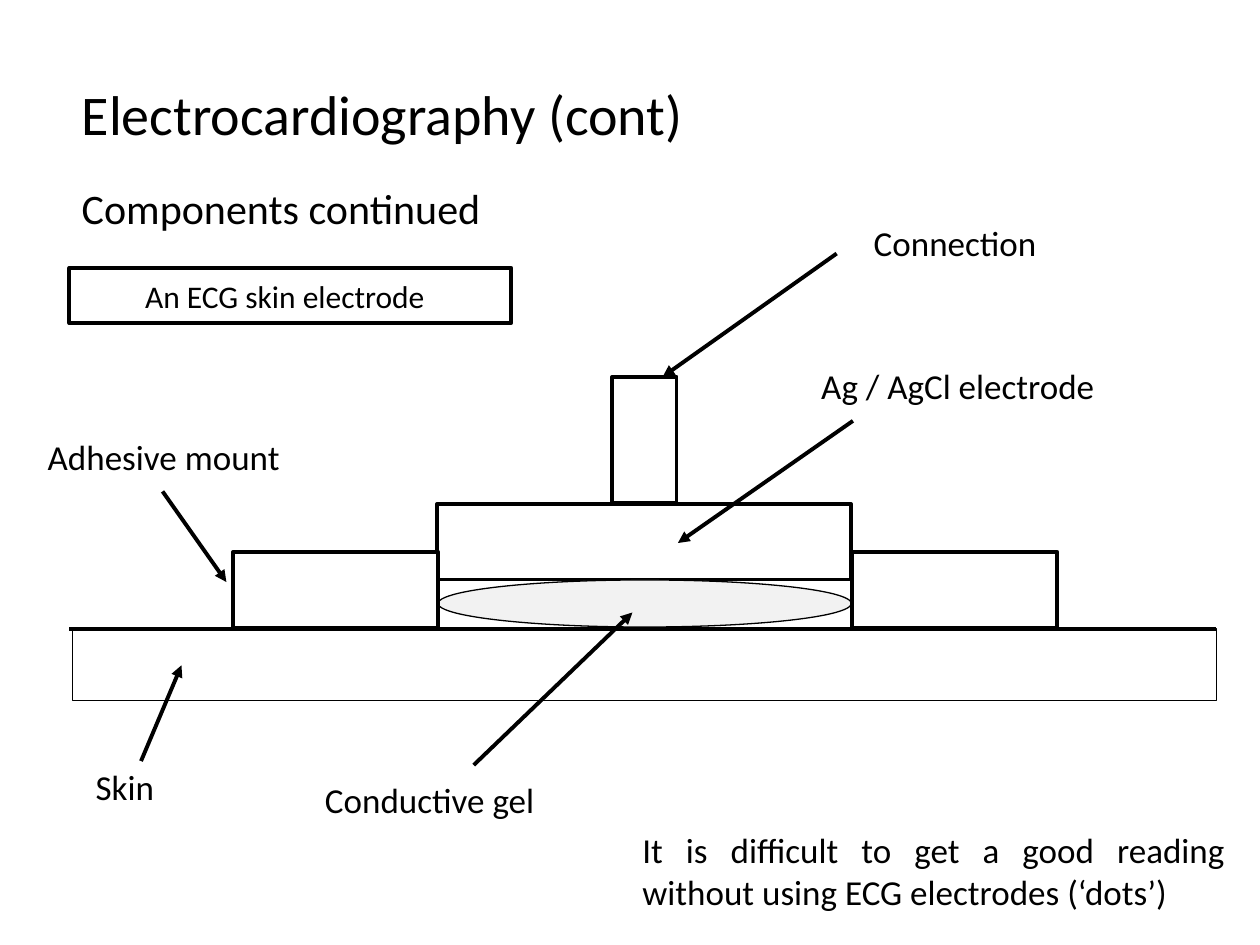
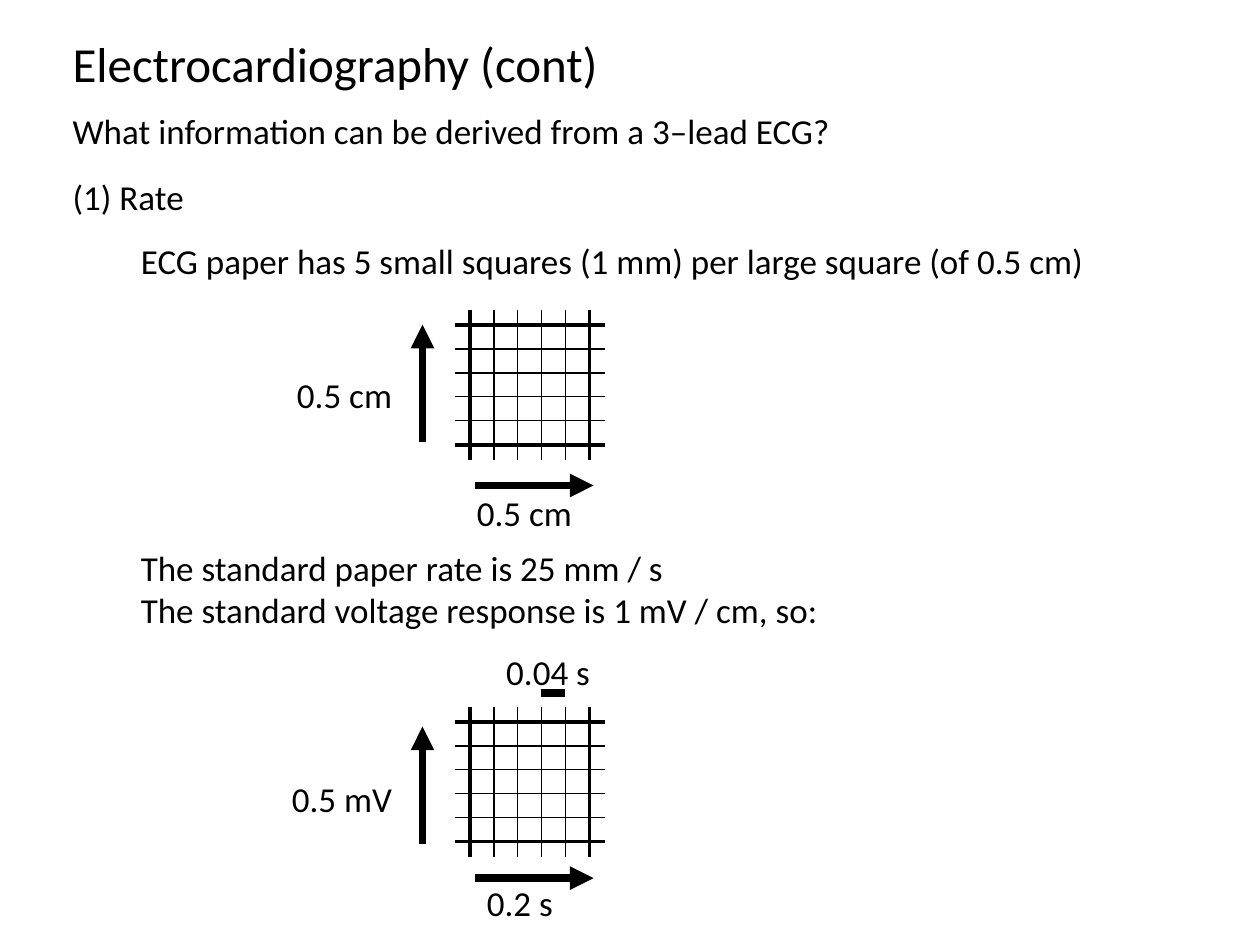
from pptx import Presentation
from pptx.dml.color import RGBColor
from pptx.enum.shapes import MSO_CONNECTOR, MSO_SHAPE
from pptx.enum.text import MSO_ANCHOR, PP_ALIGN
from pptx.oxml.ns import qn
from pptx.util import Pt
from lxml.etree import SubElement

BLACK = RGBColor(0x00, 0x00, 0x00)
WHITE = RGBColor(0xFF, 0xFF, 0xFF)
GEL_GREY = RGBColor(0xF2, 0xF2, 0xF2)
FONT = "Calibri"
TITLE = "Electrocardiography (cont)"
THIN, THICK, HEAVY = 0.75, 2.25, 4.5


def add_text(slide, text, left, top, width, size=20, align=PP_ALIGN.LEFT, lines=1):
    height = lines * size * 1.22 + 7.2
    box = slide.shapes.add_textbox(Pt(left), Pt(top), Pt(width), Pt(height))
    frame = box.text_frame
    frame.word_wrap = True
    frame.text = text
    for paragraph in frame.paragraphs:
        paragraph.alignment = align
        paragraph.font.name = FONT
        paragraph.font.size = Pt(size)
        paragraph.font.color.rgb = BLACK


def add_line(shapes, start, end, weight=THICK, arrow=False):
    points = [Pt(value) for value in (*start, *end)]
    connector = shapes.add_connector(MSO_CONNECTOR.STRAIGHT, *points)
    connector.line.color.rgb = BLACK
    connector.line.width = Pt(weight)
    properties = connector._element.spPr
    if arrow:
        SubElement(properties.find(qn("a:ln")), qn("a:tailEnd"), type="triangle")
    SubElement(properties, qn("a:effectLst"))


presentation = Presentation()
presentation.slide_width = Pt(720)
presentation.slide_height = Pt(540)
blank = presentation.slide_layouts[6]

# Slide 1: skin electrode
slide = presentation.slides.add_slide(blank)
add_text(slide, TITLE, 39.6, 41.8, 389, 32)
add_text(slide, "Components continued", 39.6, 100.8, 329, 24)

# Electrode parts, from back to front
RECTANGLE, OVAL = MSO_SHAPE.RECTANGLE, MSO_SHAPE.OVAL
electrode_parts = [
    (RECTANGLE, 349.9, 215.4, 36.7, 72, WHITE, THICK),      # connection
    (RECTANGLE, 249.8, 288, 236.5, 43.2, WHITE, THICK),     # electrode
    (OVAL, 250.3, 331.4, 236.2, 26.9, GEL_GREY, THIN),      # gel
    (RECTANGLE, 133.2, 315.4, 117.2, 43.2, WHITE, THICK),   # left mount
    (RECTANGLE, 486.9, 315.4, 117.2, 43.2, WHITE, THICK),   # right mount
    (RECTANGLE, 41.4, 359.3, 653.8, 40.9, WHITE, THIN),     # skin
    (RECTANGLE, 39.7, 153.1, 252.5, 31.5, None, THICK),     # caption frame
]
for kind, left, top, width, height, fill, weight in electrode_parts:
    shape = slide.shapes.add_shape(kind, Pt(left), Pt(top), Pt(width), Pt(height))
    shape.shadow.inherit = False
    if fill is None:
        shape.fill.background()
    else:
        shape.fill.solid()
        shape.fill.fore_color.rgb = fill
    shape.line.color.rgb = BLACK
    shape.line.width = Pt(weight)
add_line(slide.shapes, (39.6, 359.3), (695, 359.3))

# Caption, in the last shape of the list
caption = shape.text_frame
caption.text = "An ECG skin electrode"
caption.margin_left = Pt(43.2)
caption.vertical_anchor = MSO_ANCHOR.MIDDLE
paragraph = caption.paragraphs[0]
paragraph.alignment = PP_ALIGN.LEFT
paragraph.font.name = FONT
paragraph.font.size = Pt(18)
paragraph.font.color.rgb = BLACK

# Labels with their arrows
labels = [
    ("Skin", 47.5, 434, 54, (80.6, 434.9), (103.7, 380.2)),
    ("Conductive gel", 178.6, 441.4, 147, (270.7, 437.2), (361.4, 350)),
    ("Adhesive mount", 20.2, 245.5, 158, (92.9, 280.8), (129.4, 332.6)),
    ("Ag / AgCl electrode", 462.2, 204.8, 187, (487.4, 240.5), (387.4, 310.3)),
    ("Connection", 492.2, 123.1, 116, (478.1, 144.9), (378.7, 215.3)),
]
for text, left, top, width, start, end in labels:
    add_text(slide, text, left, top, width)
    add_line(slide.shapes, start, end, arrow=True)

add_text(slide, "It is difficult to get a good reading without using ECG electrodes (‘dots’)",
         360, 469.7, 347, align=PP_ALIGN.JUSTIFY, lines=2)

# Slide 2: rate from ECG paper
slide = presentation.slides.add_slide(blank)
add_text(slide, TITLE, 34.4, 15.8, 344, 28)
add_text(slide, "What information can be derived from a 3–lead ECG?", 34.4, 59.2, 490)
add_text(slide, "(1) Rate", 34.4, 96.5, 97)
add_text(slide, "ECG paper has 5 small squares (1 mm) per large square (of 0.5 cm)", 73.4, 133.4, 622)
add_text(slide, "The standard paper rate is 25 mm / s\n"
         "The standard voltage response is 1 mV / cm, so:", 73.4, 309, 479, lines=2)

# Paper squares: five small squares each way, with an overhang
SQUARES, STEP, OVERHANG = 5, 13.65, 8.6
GRID_LEFT = 260
SPAN = SQUARES * STEP + 2 * OVERHANG
for grid_top, up_arrow_bottom, right_arrow_y in [(177.2, 252.7, 277.4), (404, 482.4, 501.8)]:
    grid = slide.shapes.add_group_shape().shapes
    for index in range(SQUARES + 1):
        weight = THICK if index in (0, SQUARES) else THIN
        x = GRID_LEFT + OVERHANG + index * STEP
        y = grid_top + OVERHANG + index * STEP
        add_line(grid, (x, grid_top), (x, grid_top + SPAN), weight)
        add_line(grid, (GRID_LEFT, y), (GRID_LEFT + SPAN, y), weight)
    add_line(slide.shapes, (271.7, right_arrow_y), (339.2, right_arrow_y), HEAVY, arrow=True)
    add_line(slide.shapes, (241.4, up_arrow_bottom), (241.4, up_arrow_bottom - 67.2),
             HEAVY, arrow=True)

# Mark for one small square
add_line(slide.shapes, (309, 396), (323, 396), HEAVY)

# Dimensions
dimensions = [
    ("0.5 cm", 156.2, 209.7, 75, PP_ALIGN.RIGHT),
    ("0.5 cm", 265.4, 277.2, 77, PP_ALIGN.LEFT),
    ("0.5 mV", 156.2, 440.8, 75, PP_ALIGN.RIGHT),
    ("0.2 s", 271.1, 499.9, 64, PP_ALIGN.LEFT),
    ("0.04 s", 282.2, 368.2, 71, PP_ALIGN.LEFT),
]
for text, left, top, width, align in dimensions:
    add_text(slide, text, left, top, width, align=align)

presentation.save("out.pptx")
